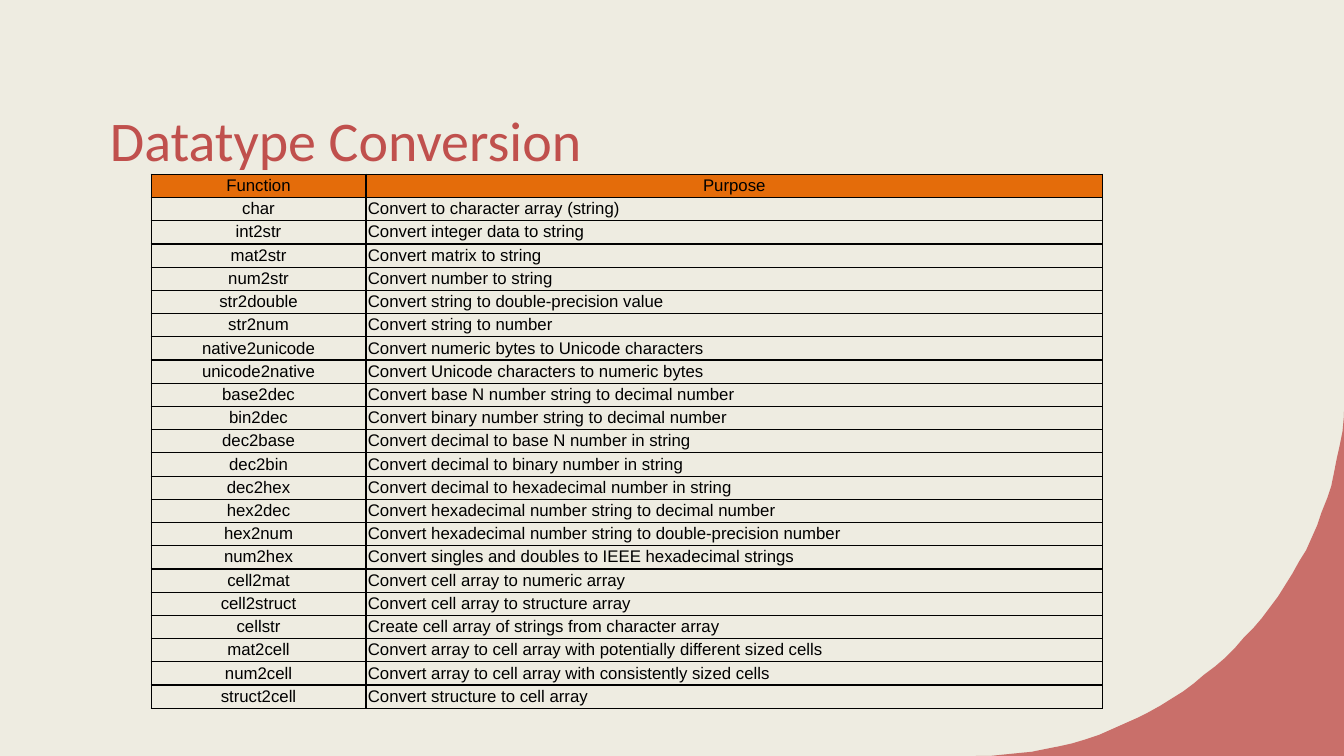
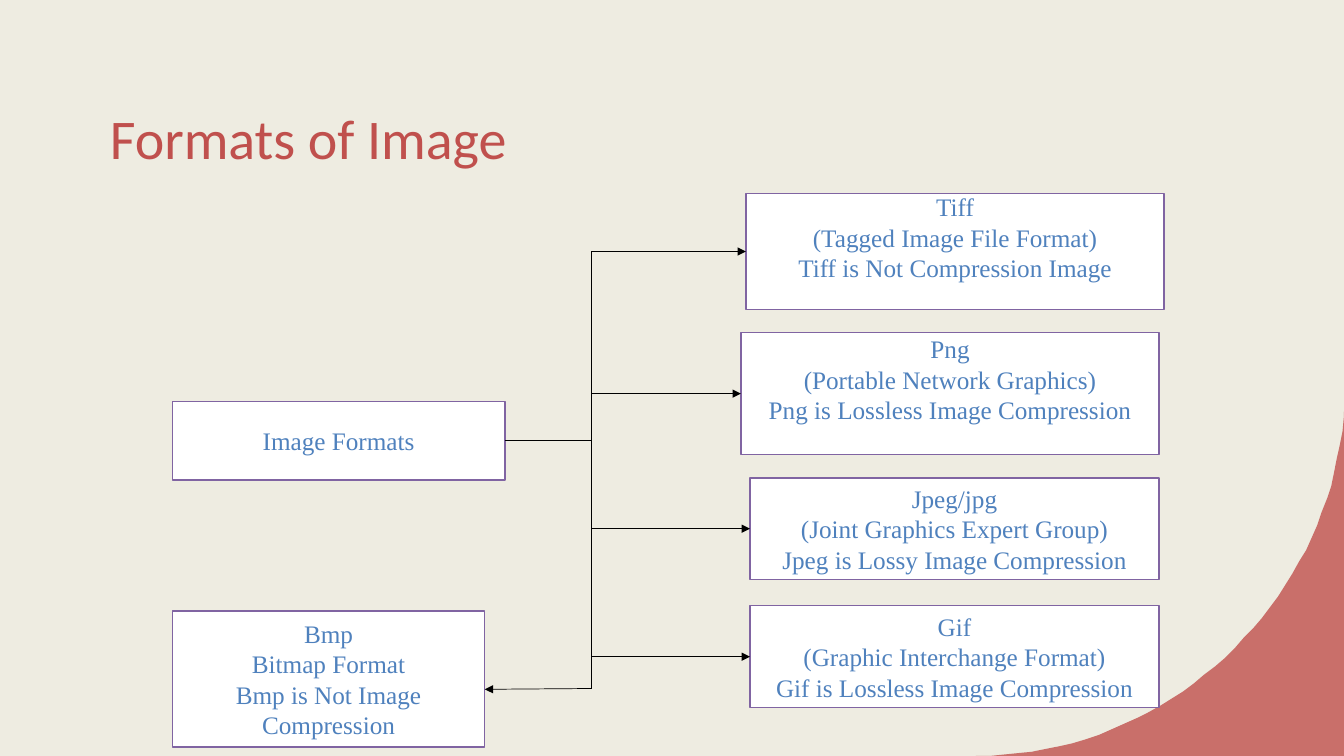
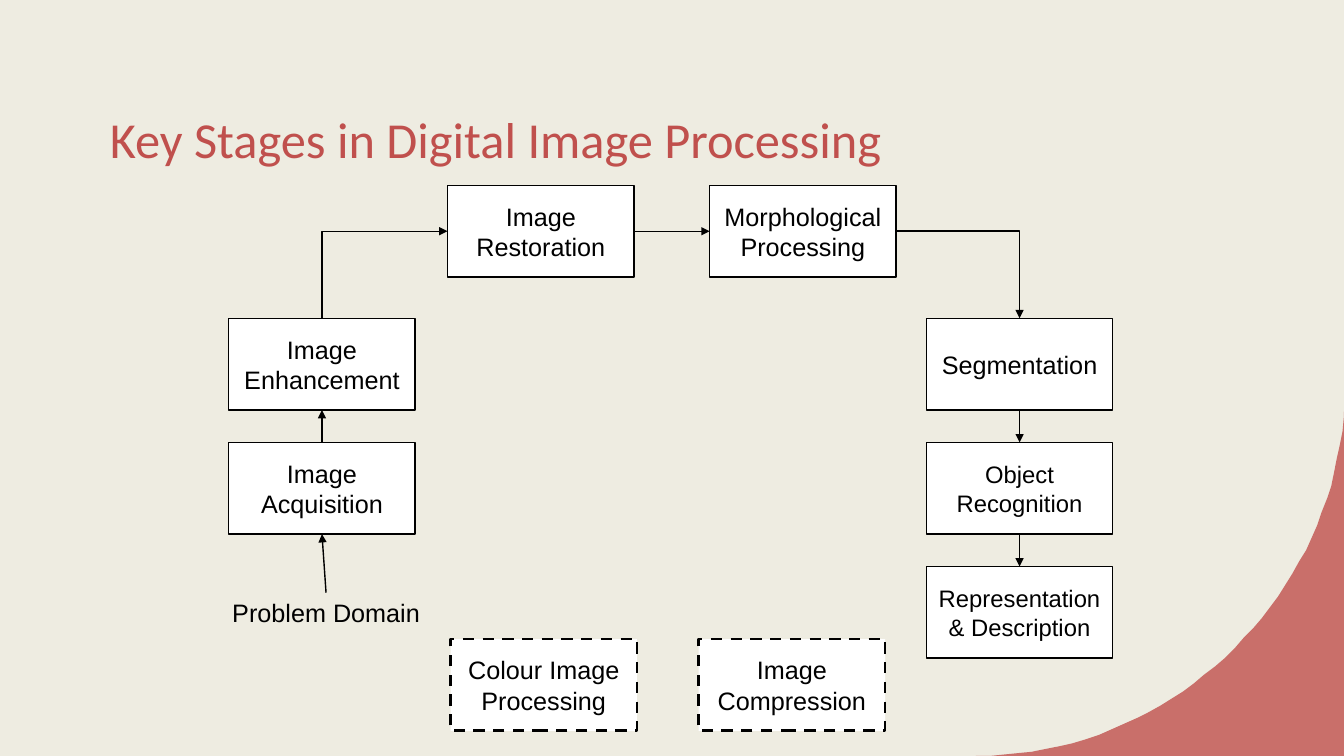
from lxml import etree
from pptx import Presentation
from pptx.dml.color import RGBColor
from pptx.enum.dml import MSO_LINE
from pptx.enum.shapes import MSO_CONNECTOR, MSO_SHAPE
from pptx.enum.text import MSO_ANCHOR, MSO_AUTO_SIZE, PP_ALIGN
from pptx.oxml.ns import qn
from pptx.util import Pt

STRAIGHT = MSO_CONNECTOR.STRAIGHT
RECTANGLE = MSO_SHAPE.RECTANGLE
DASH = MSO_LINE.DASH
MIDDLE = MSO_ANCHOR.MIDDLE
LEFT, CENTER = PP_ALIGN.LEFT, PP_ALIGN.CENTER
NO_AUTOFIT = MSO_AUTO_SIZE.NONE

SLIDE_WIDTH, SLIDE_HEIGHT = 960, 540
TITLE_ONLY = 5
CREAM, RED, ORANGE = "EEECE1", "C0504D", "E46C0A"
BLACK, WHITE, PURPLE, BLUE = "000000", "FFFFFF", "8064A2", "4F81BD"
TITLE_FONT, SANS, SERIF = "Calibri", "Arial", "Times New Roman"

CONVERSIONS = [
    ("Function", "Purpose"),
    ("char", "Convert to character array (string)"),
    ("int2str", "Convert integer data to string"),
    ("mat2str", "Convert matrix to string"),
    ("num2str", "Convert number to string"),
    ("str2double", "Convert string to double-precision value"),
    ("str2num", "Convert string to number"),
    ("native2unicode", "Convert numeric bytes to Unicode characters"),
    ("unicode2native", "Convert Unicode characters to numeric bytes"),
    ("base2dec", "Convert base N number string to decimal number"),
    ("bin2dec", "Convert binary number string to decimal number"),
    ("dec2base", "Convert decimal to base N number in string"),
    ("dec2bin", "Convert decimal to binary number in string"),
    ("dec2hex", "Convert decimal to hexadecimal number in string"),
    ("hex2dec", "Convert hexadecimal number string to decimal number"),
    ("hex2num", "Convert hexadecimal number string to double-precision number"),
    ("num2hex", "Convert singles and doubles to IEEE hexadecimal strings"),
    ("cell2mat", "Convert cell array to numeric array"),
    ("cell2struct", "Convert cell array to structure array"),
    ("cellstr", "Create cell array of strings from character array"),
    ("mat2cell", "Convert array to cell array with potentially different sized cells"),
    ("num2cell", "Convert array to cell array with consistently sized cells"),
    ("struct2cell", "Convert structure to cell array"),
]


def paint(color_owner, color):
    """Give a fill or a line a solid colour."""
    fill = getattr(color_owner, "fill", color_owner)
    fill.solid()
    fill.fore_color.rgb = RGBColor.from_string(color)


def write(frame, text, font, size, color, align=LEFT):
    frame.text = text
    for para in frame.paragraphs:
        para.alignment = align
        for span in para.runs:
            span.font.name = font
            span.font.size = Pt(size)
            span.font.color.rgb = RGBColor.from_string(color)


def add_corner(page):
    """Draw the translucent curved corner at the bottom right."""
    curve = [(697, 540), (833.8, 540), (946.8, 433.4), (960, 297.4)]
    weights = (1, 3, 3, 1)
    steps = 40
    points = []
    for step in range(steps + 1):
        t = step / steps
        points.append(tuple(
            sum(weights[i] * (1 - t) ** (3 - i) * t ** i * curve[i][axis] for i in range(4))
            for axis in (0, 1)))
    points += [(SLIDE_WIDTH, 294), (SLIDE_WIDTH, SLIDE_HEIGHT)]
    builder = page.shapes.build_freeform(*points[0], scale=Pt(1))
    builder.add_line_segments(points[1:], close=True)
    corner = builder.convert_to_shape()
    corner.shadow.inherit = False
    corner.line.fill.background()
    paint(corner, RED)
    color = corner.fill._xPr.find(qn("a:solidFill"))[0]
    etree.SubElement(color, qn("a:alpha")).set("val", "80000")


def add_page(deck, title, size=40, top=46.8, width=780.5, height=104.4):
    page = deck.slides.add_slide(deck.slide_layouts[TITLE_ONLY])
    add_corner(page)
    box = page.shapes.title
    box.left, box.top, box.width, box.height = Pt(71.3), Pt(top), Pt(width), Pt(height)
    frame = box.text_frame
    frame.auto_size = NO_AUTOFIT
    frame.vertical_anchor = MIDDLE
    write(frame, title, TITLE_FONT, size, RED)
    return page


def add_box(page, place, text, font=SANS, size=18, color=BLACK, outline=BLACK,
            weight=1, dash=None, bottom_margin=0):
    box = page.shapes.add_shape(RECTANGLE, *map(Pt, place))
    box.shadow.inherit = False
    paint(box, WHITE)
    paint(box.line, outline)
    box.line.width = Pt(weight)
    if dash is not None:
        box.line.dash_style = dash
    frame = box.text_frame
    frame.word_wrap = True
    frame.vertical_anchor = MIDDLE
    frame.margin_top, frame.margin_bottom = Pt(0), Pt(bottom_margin)
    write(frame, text, font, size, color, CENTER)
    return box


def edge(box, side):
    """Return the middle of one side of a box, in points."""
    across, down = {"top": (0.5, 0), "left": (0, 0.5),
                    "bottom": (0.5, 1), "right": (1, 0.5)}[side]
    return box.left.pt + across * box.width.pt, box.top.pt + down * box.height.pt


def add_line(page, start, end, weight=1, arrow=True):
    line = page.shapes.add_connector(STRAIGHT, *map(Pt, start + end))
    paint(line.line, BLACK)
    line.line.width = Pt(weight)
    if arrow:
        outline = line.line._get_or_add_ln()
        etree.SubElement(outline, qn("a:tailEnd")).set("type", "triangle")
    etree.SubElement(line._element.spPr, qn("a:effectLst"))
    return line


def add_elbow(page, start, end, weight=1):
    """Draw a one-bend arrow: right then down, or up then right."""
    elbow = add_line(page, start, end, weight)
    elbow._element.spPr.find(qn("a:prstGeom")).set("prst", "bentConnector2")
    (x1, y1), (x2, y2) = start, end
    if y2 < y1:
        transform = elbow._element.spPr.find(qn("a:xfrm"))
        transform.attrib.pop("flipV", None)
        width, height = y1 - y2, x2 - x1
        elbow.left, elbow.top = Pt((x1 + x2 - width) / 2), Pt((y1 + y2 - height) / 2)
        elbow.width, elbow.height = Pt(width), Pt(height)
        elbow.rotation = 270


def add_borders(cell):
    properties = cell._tc.get_or_add_tcPr()
    for index, name in enumerate(("lnL", "lnR", "lnT", "lnB")):
        border = etree.Element(qn("a:" + name), w=str(Pt(1)))
        fill = etree.SubElement(border, qn("a:solidFill"))
        etree.SubElement(fill, qn("a:srgbClr")).set("val", BLACK)
        properties.insert(index, border)


def add_table(page, rows, left, top, widths, row_height):
    table = page.shapes.add_table(len(rows), len(widths), Pt(left), Pt(top),
                                  Pt(sum(widths)), Pt(row_height * len(rows))).table
    table.first_row = table.horz_banding = False
    for column, width in zip(table.columns, widths):
        column.width = Pt(width)
    for row_index, texts in enumerate(rows):
        table.rows[row_index].height = Pt(row_height)
        for column_index, text in enumerate(texts):
            cell = table.cell(row_index, column_index)
            cell.margin_left = cell.margin_right = Pt(1.4)
            cell.margin_top = cell.margin_bottom = Pt(1.4)
            is_header = row_index == 0
            align = CENTER if is_header or column_index == 0 else LEFT
            write(cell.text_frame, text, SANS, 12, BLACK, align)
            if is_header:
                paint(cell, ORANGE)
            else:
                cell.fill.background()
            add_borders(cell)


def build_conversion_page(deck):
    page = add_page(deck, "Datatype Conversion")
    add_table(page, CONVERSIONS, 108, 124.5, (153.4, 526.3), 16.6)


def build_formats_page(deck):
    page = add_page(deck, "Formats of Image", top=56.2, width=610.6, height=82.8)
    style = {"font": SERIF, "color": BLUE, "outline": PURPLE}
    line_height = 20.7
    tiff = add_box(page, (532.8, 138.2, 298.8, 82.8),
                   "Tiff\n(Tagged Image File Format)\nTiff is Not Compression Image",
                   bottom_margin=line_height, **style)
    png = add_box(page, (529.2, 237.6, 298.8, 87.1),
                  "Png\n(Portable Network Graphics)\nPng is Lossless Image Compression",
                  bottom_margin=line_height, **style)
    jpeg = add_box(page, (535.7, 341.3, 292.3, 72.7),
                   "Jpeg/jpg\n(Joint Graphics Expert Group)\nJpeg is Lossy Image Compression",
                   **style)
    gif = add_box(page, (535.7, 432.7, 292.3, 72.7),
                  "Gif\n(Graphic Interchange Format)\nGif is Lossless Image Compression",
                  **style)
    formats = add_box(page, (123.1, 286.6, 237.6, 56.2), "Image Formats", **style)
    bmp = add_box(page, (123.1, 436.3, 223.2, 97.2),
                  "Bmp\nBitmap Format\nBmp is Not Image Compression", **style)

    trunk, foot = 422.6, 491.8
    add_elbow(page, (trunk, foot), edge(tiff, "left"), 0.5)
    for box in (png, jpeg, gif):
        x, y = edge(box, "left")
        add_line(page, (trunk, y), (x, y), 0.5)
    add_line(page, (trunk, foot), (edge(bmp, "right")[0], 492.4), 0.5)
    x, y = edge(formats, "right")
    add_line(page, (x, y), (trunk, y), 0.5, arrow=False)


def build_stages_page(deck):
    page = add_page(deck, "Key Stages in Digital Image Processing", size=36)
    left, right = 163.4, 661.7
    rows = [227.4 + 88.6 * index for index in range(3)]
    top, bottom = 132.4, 456.5

    def add_stage(x, y, text, **style):
        return add_box(page, (x, y, 133.2, 65.5), text, **style)

    acquisition = add_stage(left, rows[1], "Image Acquisition")
    enhancement = add_stage(left, rows[0], "Image Enhancement")
    restoration = add_stage(319.7, top, "Image Restoration")
    morphology = add_stage(506.9, top, "Morphological Processing")
    segmentation = add_stage(right, rows[0], "Segmentation")
    recognition = add_stage(right, rows[1], "Object Recognition", size=17)
    description = add_stage(right, rows[2], "Representation & Description", size=17)
    add_stage(321.8, bottom, "Colour Image Processing", weight=2, dash=DASH)
    add_stage(499, bottom, "Image Compression", weight=2, dash=DASH)

    domain = page.shapes.add_textbox(Pt(155.5), Pt(423.4), Pt(154.8), Pt(28.8))
    domain.text_frame.word_wrap = False
    write(domain.text_frame, "Problem Domain", SANS, 18, BLACK, CENTER)

    for source, source_side, target, target_side in (
            (domain, "top", acquisition, "bottom"),
            (acquisition, "top", enhancement, "bottom"),
            (restoration, "right", morphology, "left"),
            (segmentation, "bottom", recognition, "top"),
            (recognition, "bottom", description, "top")):
        add_line(page, edge(source, source_side), edge(target, target_side))
    add_elbow(page, edge(enhancement, "top"), edge(restoration, "left"))
    add_elbow(page, edge(morphology, "right"), edge(segmentation, "top"))


def main():
    deck = Presentation()
    deck.slide_width, deck.slide_height = Pt(SLIDE_WIDTH), Pt(SLIDE_HEIGHT)
    paint(deck.slide_master.background, CREAM)
    build_conversion_page(deck)
    build_formats_page(deck)
    build_stages_page(deck)
    deck.save("out.pptx")


if __name__ == "__main__":
    main()
